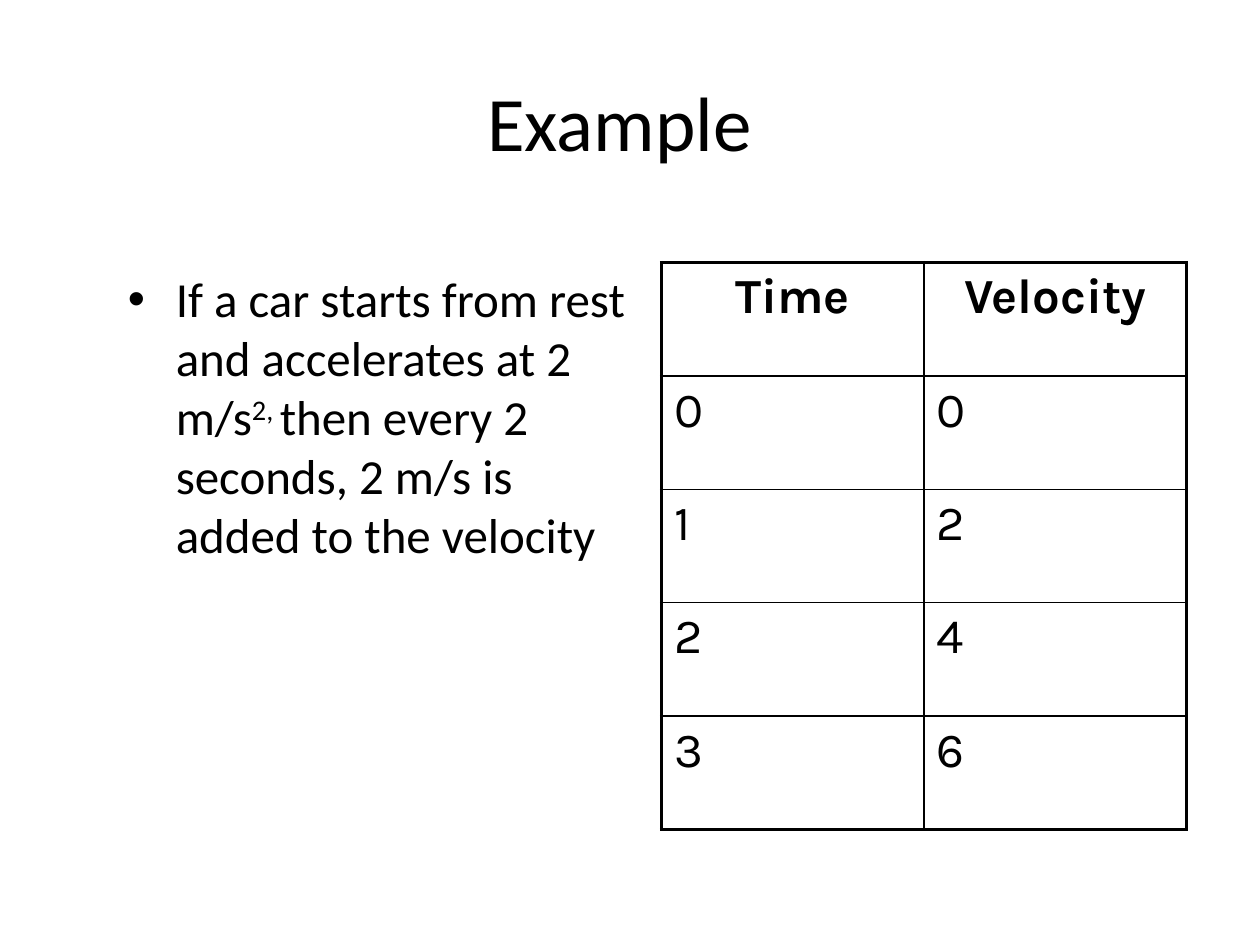
from lxml import etree
from pptx import Presentation
from pptx import util as u
from pptx.dml.color import RGBColor
from pptx.enum import text
from pptx.oxml import ns

BLACK = RGBColor(0, 0, 0)
WIDTH, HEIGHT = u.Inches(10), u.Inches(7.5)
COLUMN, ROW = WIDTH // 120, HEIGHT // 90
OUTER, INNER = 2.25, 1
READINGS = [("Time", "Velocity"), (0, 0), (1, 2), (2, 4), (3, 6)]
STATEMENT = [
    ("If a car starts from rest and accelerates at 2 m/s", 0),
    ("2, ", 30000),
    ("then every 2 seconds, 2 m/s is added to the velocity", 0),
]


def grid_box(left, top, width, height):
    return left * COLUMN, top * ROW, width * COLUMN, height * ROW


def write(paragraph, words, font="Calibri", size=28, bold=False, align=None,
          before=0, baseline=0):
    if align is not None:
        paragraph.alignment = align
    paragraph.space_before = u.Pt(before)
    run = paragraph.add_run()
    run.text = str(words)
    run.font.name = font
    run.font.size = u.Pt(size)
    run.font.bold = bold
    run.font.color.rgb = BLACK
    if baseline:
        run.font._element.set("baseline", str(baseline))


def text_frame(slide, box, anchor):
    frame = slide.shapes.add_textbox(*box).text_frame
    frame.word_wrap = True
    frame.vertical_anchor = anchor
    return frame


def add_heading(slide, box):
    heading = text_frame(slide, box, text.MSO_ANCHOR.MIDDLE)
    write(heading.paragraphs[0], "Example", size=44, align=text.PP_ALIGN.CENTER)


def add_statement(slide, box):
    statement = text_frame(slide, box, text.MSO_ANCHOR.TOP).paragraphs[0]
    for words, baseline in STATEMENT:
        write(statement, words, before=5.6, baseline=baseline)
    properties = statement._p.get_or_add_pPr()
    indent = u.Inches(0.38)
    properties.set("marL", str(indent))
    properties.set("indent", str(-indent))
    etree.SubElement(properties, ns.qn("a:buFont"), typeface="Arial")
    etree.SubElement(properties, ns.qn("a:buChar"), char="•")


def set_borders(cell, widths):
    properties = cell._tc.get_or_add_tcPr()
    for position, (side, width) in enumerate(widths.items()):
        border = etree.Element(ns.qn(f"a:ln{side}"), w=str(u.Pt(width)))
        fill = etree.SubElement(border, ns.qn("a:solidFill"))
        etree.SubElement(fill, ns.qn("a:srgbClr"), val=str(BLACK))
        properties.insert(position, border)


def add_velocity_table(slide, box):
    rows, columns = len(READINGS), len(READINGS[0])
    table = slide.shapes.add_table(rows, columns, *box).table
    table.first_row = False
    table.horz_banding = False
    for r, reading in enumerate(READINGS):
        for c, value in enumerate(reading):
            header = r == 0
            cell = table.cell(r, c)
            cell.fill.background()
            write(cell.text_frame.paragraphs[0], value, font="Karla", bold=header,
                  align=text.PP_ALIGN.CENTER if header else text.PP_ALIGN.LEFT,
                  before=5.6)
            set_borders(cell, {
                "L": OUTER if c == 0 else INNER,
                "R": OUTER if c == columns - 1 else INNER,
                "T": OUTER if header else INNER,
                "B": OUTER if r == rows - 1 else INNER,
            })


def main():
    deck = Presentation()
    deck.slide_width, deck.slide_height = WIDTH, HEIGHT
    slide = deck.slides.add_slide(deck.slide_layouts[6])
    add_heading(slide, grid_box(8, 4, 102, 15))
    add_statement(slide, grid_box(11, 25, 50, 54))
    add_velocity_table(slide, grid_box(63, 25, 50, 54))
    deck.save("out.pptx")


if __name__ == "__main__":
    main()
